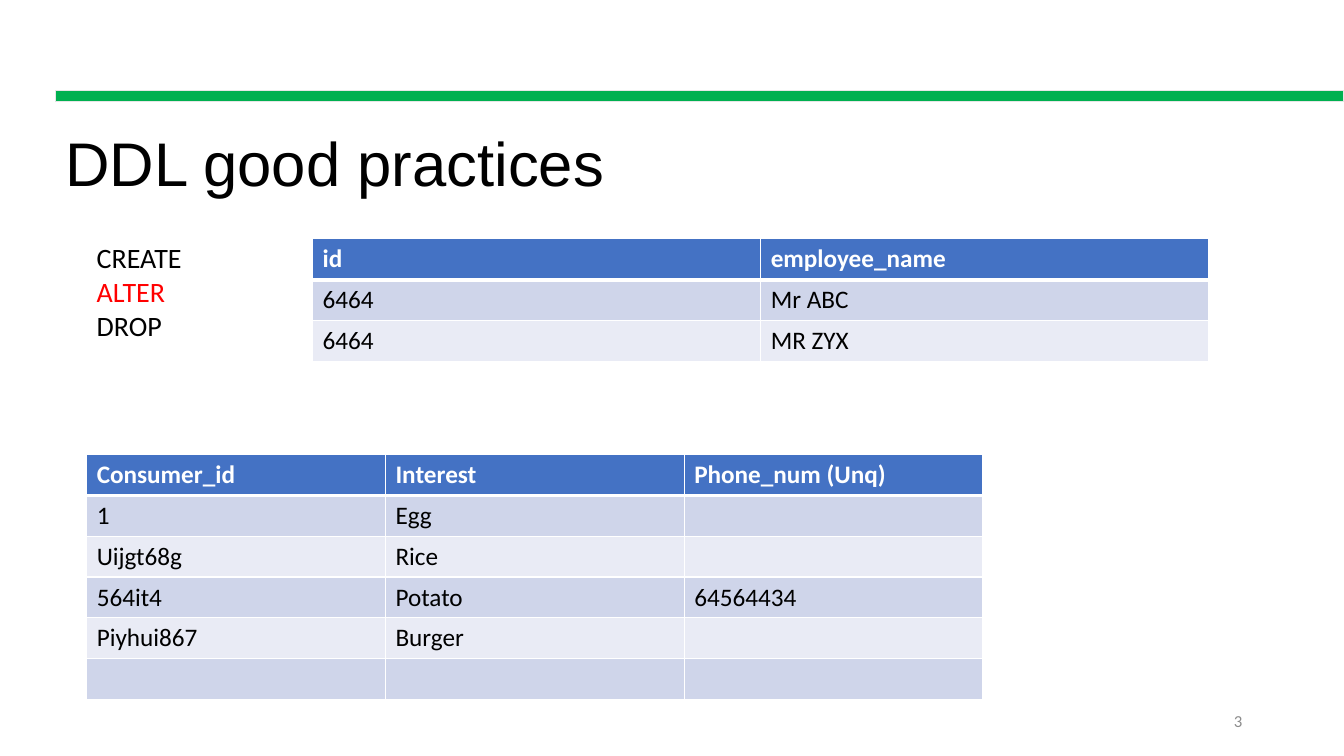
"""Build the slide on DDL good practices with two example tables."""
import pptx
import pptx.dml.color
import pptx.enum.shapes
import pptx.enum.text
import pptx.oxml
import pptx.oxml.ns
import pptx.util
from pptx.dml.color import RGBColor
from pptx.util import Inches

BLACK = RGBColor(0x00, 0x00, 0x00)
WHITE = RGBColor(0xFF, 0xFF, 0xFF)
RED = RGBColor(0xFF, 0x00, 0x00)
GREEN = RGBColor(0x00, 0xB0, 0x50)
PALE_GRAY = RGBColor(0xE7, 0xE6, 0xE6)
GRAY = RGBColor(0x8C, 0x8C, 0x8C)
HEADER_BLUE = RGBColor(0x44, 0x72, 0xC4)
BAND_COLORS = (RGBColor(0xE9, 0xEB, 0xF5), RGBColor(0xCF, 0xD5, 0xEA))

ROW_HEIGHT = 0.405
TABLE_WIDTH = 8.89

EMPLOYEE_ROWS = [
    ("id", "employee_name"),
    ("6464", "Mr ABC"),
    ("6464", "MR ZYX"),
]
CONSUMER_ROWS = [
    ("Consumer_id", "Interest", "Phone_num (Unq)"),
    ("1", "Egg", ""),
    ("Uijgt68g", "Rice", ""),
    ("564it4", "Potato", "64564434"),
    ("Piyhui867", "Burger", ""),
    ("", "", ""),
]


def style_paragraph(paragraph, size, color, font_name="Calibri", bold=False):
    """Set the font of a whole paragraph."""
    paragraph.font.name = font_name
    paragraph.font.size = pptx.util.Pt(size)
    paragraph.font.bold = bold
    paragraph.font.color.rgb = color


def add_text(slide, left, top, width, height, lines, size, font_name="Calibri"):
    """Add a wrapped text box from (text, color) lines and return its shape."""
    shape = slide.shapes.add_textbox(Inches(left), Inches(top), Inches(width), Inches(height))
    frame = shape.text_frame
    frame.word_wrap = True
    frame.text = "\n".join(text for text, color in lines)
    for paragraph, (text, color) in zip(frame.paragraphs, lines):
        style_paragraph(paragraph, size, color, font_name)
    return shape


def add_title(slide, text):
    """Add the slide title."""
    shape = add_text(slide, 0.55, 1.22, 7.7, 1, [(text, BLACK)], 44, "Arial")
    frame = shape.text_frame
    frame.margin_top = frame.margin_bottom = Inches(0.1)
    frame.paragraphs[0].line_spacing = 0.9


def add_slide_number(slide, number):
    """Add the right-aligned slide number."""
    shape = add_text(slide, 9.42, 6.95, 3, 0.4, [(number, GRAY)], 12)
    shape.text_frame.vertical_anchor = pptx.enum.text.MSO_ANCHOR.MIDDLE
    shape.text_frame.paragraphs[0].alignment = pptx.enum.text.PP_ALIGN.RIGHT


def add_green_bar(slide):
    """Add the bar that runs to the right edge of the slide."""
    bar = slide.shapes.add_shape(
        pptx.enum.shapes.MSO_SHAPE.RECTANGLE,
        Inches(0.55), Inches(0.9), Inches(12.78), Inches(0.11))
    bar.shadow.inherit = False
    bar.fill.solid()
    bar.fill.fore_color.rgb = GREEN
    bar.line.color.rgb = PALE_GRAY
    bar.line.width = pptx.util.Pt(1)


def set_borders(cell, row_index):
    """Draw white borders, with a thicker one below the header row."""
    widths = {"L": 1, "R": 1, "T": 3 if row_index == 1 else 1, "B": 3 if row_index == 0 else 1}
    properties = cell._tc.get_or_add_tcPr()
    for side, width in widths.items():
        properties.append(pptx.oxml.parse_xml(
            f'<a:ln{side} {pptx.oxml.ns.nsdecls("a")} w="{pptx.util.Pt(width)}">'
            f'<a:solidFill><a:srgbClr val="{WHITE}"/></a:solidFill></a:ln{side}>'))


def add_banded_table(slide, left, top, rows):
    """Add a table with a blue header and alternating row fills."""
    column_count = len(rows[0])
    table = slide.shapes.add_table(
        len(rows), column_count, Inches(left), Inches(top),
        Inches(TABLE_WIDTH), Inches(ROW_HEIGHT * len(rows))).table
    for column in table.columns:
        column.width = Inches(TABLE_WIDTH / column_count)
    for row_index, row in enumerate(rows):
        is_header = row_index == 0
        for column_index, text in enumerate(row):
            cell = table.cell(row_index, column_index)
            cell.text = text
            style_paragraph(cell.text_frame.paragraphs[0], 18,
                            WHITE if is_header else BLACK, bold=is_header)
            set_borders(cell, row_index)
            cell.fill.solid()
            cell.fill.fore_color.rgb = HEADER_BLUE if is_header else BAND_COLORS[row_index % 2]


def main():
    """Build and save the presentation."""
    presentation = pptx.Presentation()
    presentation.slide_width = Inches(13.33)
    presentation.slide_height = Inches(7.5)
    slide = presentation.slides.add_slide(presentation.slide_layouts[6])
    add_green_bar(slide)
    add_slide_number(slide, "3")
    add_title(slide, "DDL good practices")
    commands = [("CREATE", BLACK), ("ALTER", RED), ("DROP", BLACK)]
    add_text(slide, 0.86, 2.34, 11.69, 1.11, commands, 20)
    add_banded_table(slide, 3.1, 2.37, EMPLOYEE_ROWS)
    add_banded_table(slide, 0.86, 4.51, CONSUMER_ROWS)
    presentation.save("out.pptx")


if __name__ == "__main__":
    main()
